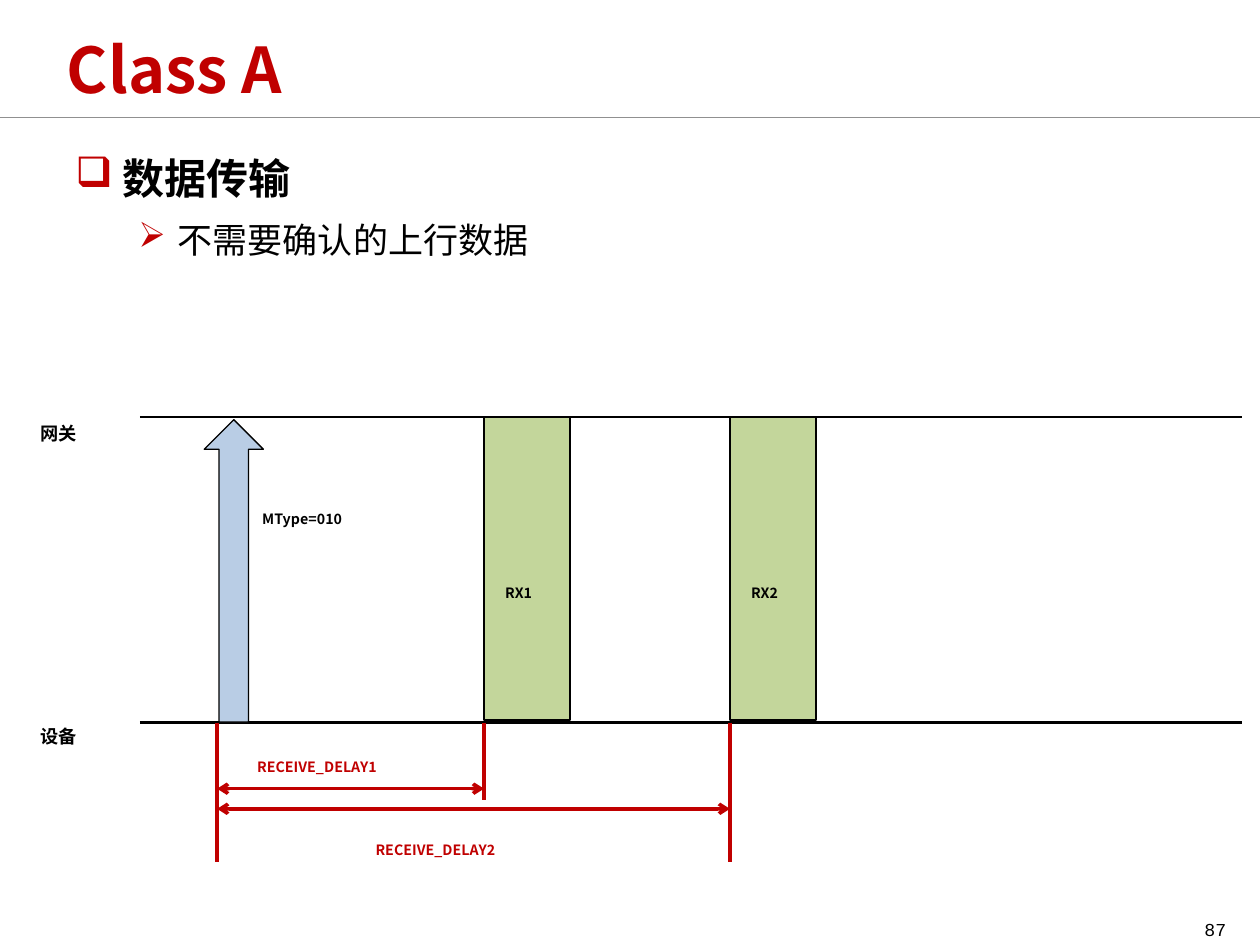
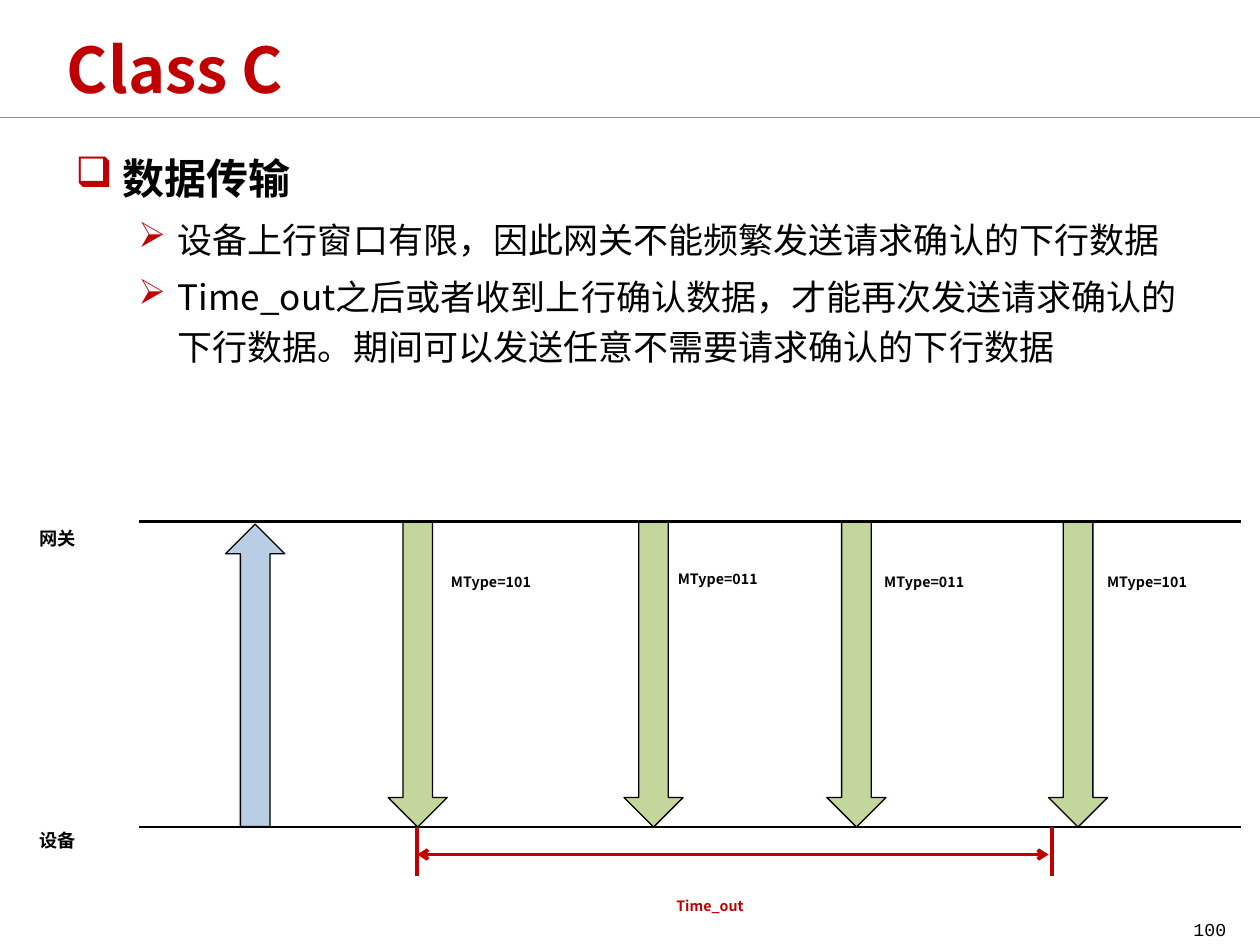
from collections import namedtuple

from lxml.etree import SubElement
from pptx import Presentation
from pptx.dml.color import RGBColor
from pptx.enum.shapes import MSO_CONNECTOR, MSO_SHAPE
from pptx.enum.text import MSO_ANCHOR, PP_ALIGN
from pptx.oxml.ns import qn
from pptx.util import Pt

COLOURS = {
    "accent": "C00000",
    "text": "000000",
    "rule": "909090",
    "uplink": "B9CDE5",
    "downlink": "C3D69B",
}
FONT = "Noto Sans CJK SC"
NUMBER_FONT = "Courier New"
BULLET_FONT = "OpenSymbol"
SUBSCRIPT = "-25000"

Frame = namedtuple("Frame", "left top width height")
Level = namedtuple("Level", "margin hanging bullet size bold")

LEVELS = [
    Level(27, 27, "❑", 24, True),
    Level(58.5, 22.5, "➢", 20, False),
]
TITLE = Frame(31, 3, 649, 72)
BODY = Frame(36, 77.8, 653.8, 426)
PAGE_NUMBER = Frame(648, 516.2, 59.8, 18)
ARROW_WIDTH = 33.8


def colour(name):
    return RGBColor.from_string(COLOURS[name])


def add_span(para, text, size, ink="text", bold=False, font=FONT, baseline=None):
    span = para.add_run()
    span.text = text
    span.font.size = Pt(size)
    span.font.bold = bold
    span.font.name = font
    span.font.color.rgb = colour(ink)
    properties = span.font._element
    east_asian = properties.find(qn("a:latin")).makeelement(qn("a:ea"), {"typeface": font})
    properties.find(qn("a:latin")).addnext(east_asian)
    if baseline:
        properties.set("baseline", baseline)


def add_box(page, frame):
    box = page.shapes.add_textbox(*map(Pt, frame))
    box.text_frame.word_wrap = True
    return box.text_frame


def add_label(page, left, top, width, text, size=14, ink="text"):
    para = add_box(page, (left, top, width, size * 1.6 + 1)).paragraphs[0]
    add_span(para, text, size, ink, bold=True, baseline=SUBSCRIPT)


def add_line(page, start, end, ink, weight, arrows=False):
    line = page.shapes.add_connector(MSO_CONNECTOR.STRAIGHT, *map(Pt, (*start, *end)))
    line.line.color.rgb = colour(ink)
    line.line.width = Pt(weight)
    if arrows:
        outline = line.line._get_or_add_ln()
        for tag in ("a:headEnd", "a:tailEnd"):
            SubElement(outline, qn(tag), type="arrow")
    SubElement(line._element.spPr, qn("a:effectLst"))


def add_block(page, preset, frame, fill):
    block = page.shapes.add_shape(preset, *map(Pt, frame))
    block.shadow.inherit = False
    block.fill.solid()
    block.fill.fore_color.rgb = colour(fill)
    block.line.color.rgb = colour("text")
    block.line.width = Pt(0.75)
    return block


def add_title(page, text):
    title = page.shapes.title
    title.left, title.top, title.width, title.height = map(Pt, TITLE)
    frame = title.text_frame
    frame.vertical_anchor = MSO_ANCHOR.MIDDLE
    para = frame.paragraphs[0]
    para.alignment = PP_ALIGN.LEFT
    add_span(para, text, 36, "accent", bold=True)
    add_line(page, (0, 67), (720, 67), "rule", 0.25)


def add_body(page, items):
    """Write (level, text) items as a bulleted outline."""
    frame = add_box(page, BODY)
    for index, (depth, text) in enumerate(items):
        para = frame.add_paragraph() if index else frame.paragraphs[0]
        level = LEVELS[depth]
        para.level = depth
        para.line_spacing = 1.2
        if index:
            para.space_before = Pt(level.size * 0.2)
        properties = para._p.get_or_add_pPr()
        properties.set("marL", str(Pt(level.margin)))
        properties.set("indent", str(-Pt(level.hanging)))
        ink = SubElement(properties, qn("a:buClr"))
        SubElement(ink, qn("a:srgbClr"), val=COLOURS["accent"])
        SubElement(properties, qn("a:buFont"), typeface=BULLET_FONT)
        SubElement(properties, qn("a:buChar"), char=level.bullet)
        add_span(para, text, level.size, bold=level.bold)


def add_page_number(page, number):
    frame = add_box(page, PAGE_NUMBER)
    frame.vertical_anchor = MSO_ANCHOR.MIDDLE
    para = frame.paragraphs[0]
    para.alignment = PP_ALIGN.RIGHT
    add_span(para, str(number), 18, font=NUMBER_FONT, baseline=SUBSCRIPT)


def add_lanes(page, frame):
    """Draw the gateway and device time lines along the frame's top and bottom."""
    right = frame.left + frame.width
    for name, y in (("网关", frame.top), ("设备", frame.top + frame.height - 1.8)):
        add_label(page, frame.left - 63.8, y - 12.5, 52.6, name, 18)
    for y in (frame.top, frame.top + frame.height):
        add_line(page, (frame.left, y), (right, y), "text", 1.5)


def add_uplink(page, frame, x):
    arrow = add_block(page, MSO_SHAPE.DOWN_ARROW,
                      (frame.left + x, frame.top + 1.5, ARROW_WIDTH, 172.8), "uplink")
    arrow.rotation = 180


def add_marker(page, frame, x, drop):
    """Drop a vertical mark from the device line."""
    x, y = frame.left + x, frame.top + frame.height
    add_line(page, (x, y), (x, y + drop), "accent", 2)


def add_interval(page, frame, start, end, drop):
    y = frame.top + frame.height + drop
    add_line(page, (frame.left + start, y), (frame.left + end, y), "accent", 2, arrows=True)


def add_receive_windows(page, frame):
    left, top, bottom = frame.left, frame.top, frame.top + frame.height
    add_lanes(page, frame)
    add_uplink(page, frame, 36.7)
    add_label(page, left + 62.7, top + 40.3, 137.5, "MType=010")

    sent, windows = 44.1, {"RX1": 196.6, "RX2": 337.1}
    for name, x in windows.items():
        add_block(page, MSO_SHAPE.RECTANGLE, (left + x, top + 0.4, 49.2, 172.8), "downlink")
        add_label(page, left + x + 5, top + 82.4, 46, name)

    for x, drop in ((sent, 79.5), (windows["RX1"], 44), (windows["RX2"], 79.5)):
        add_marker(page, frame, x, drop)
    delays = (
        ("RECEIVE_DELAY1", windows["RX1"], 37.8, 59.8, 7.6),
        ("RECEIVE_DELAY2", windows["RX2"], 49.3, 127.5, 55.1),
    )
    for name, end, drop, label_x, label_drop in delays:
        add_interval(page, frame, sent, end, drop)
        add_label(page, left + label_x, bottom + label_drop, 144.7, name, ink="accent")


def add_downlink_timeout(page, frame):
    left, top, bottom = frame.left, frame.top, frame.top + frame.height
    add_lanes(page, frame)
    add_uplink(page, frame, 49.7)
    downlinks = (
        ("MType=101", 142.6, 171.4, 16.5),
        ("MType=011", 277.4, 301, 15),
        ("MType=011", 393.3, 419, 16.5),
        ("MType=101", 520, 546.3, 16.5),
    )
    for name, x, label_x, label_y in downlinks:
        add_block(page, MSO_SHAPE.DOWN_ARROW,
                  (left + x, top + 0.4, ARROW_WIDTH, 174.2), "downlink")
        add_label(page, left + label_x, top + label_y, 101.5, name)

    start, end = 159.2, 522
    for x in (start, end):
        add_marker(page, frame, x, 28)
    add_interval(page, frame, start, end - 2, 15.7)
    add_label(page, left + 300.2, bottom + 27.3, 144.7, "Time_out", ink="accent")


def add_page(deck, title, items, number, draw_diagram, frame):
    page = deck.slides.add_slide(deck.slide_layouts[5])
    add_title(page, title)
    add_body(page, items)
    draw_diagram(page, frame)
    add_page_number(page, number)


def main():
    deck = Presentation()
    deck.slide_width, deck.slide_height = Pt(720), Pt(540)
    heading = (0, "数据传输")
    add_page(deck, "Class A", [heading, (1, "不需要确认的上行数据")], 87,
             add_receive_windows, Frame(80, 238.3, 630, 174.6))
    add_page(deck, "Class C", [
        heading,
        (1, "设备上行窗口有限，因此网关不能频繁发送请求确认的下行数据"),
        (1, "Time_out之后或者收到上行确认数据，才能再次发送请求确认的下行数据。"
            "期间可以发送任意不需要请求确认的下行数据"),
    ], 100, add_downlink_timeout, Frame(79.2, 298, 630, 174.6))
    deck.save("out.pptx")


if __name__ == "__main__":
    main()
